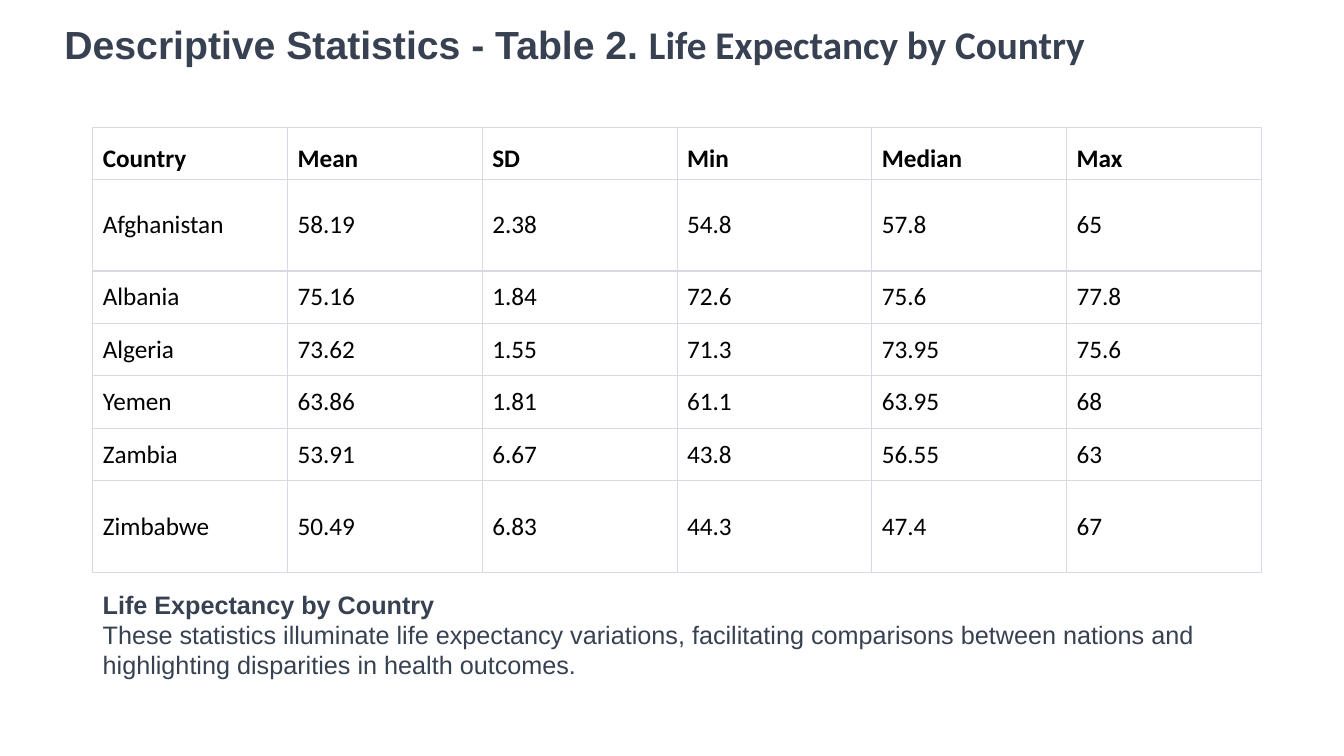
"""Build a slide with a table of life expectancy statistics by country."""
from dataclasses import dataclass

from lxml.etree import SubElement
from pptx import Presentation
from pptx.dml.color import RGBColor
from pptx.enum.text import MSO_ANCHOR as Anchor
from pptx.oxml.ns import qn
from pptx.util import Inches, Pt


@dataclass(frozen=True)
class Theme:
    heading: str = "374151"
    ink: str = "000000"
    border: str = "D9D9E3"
    title_size: int = 28
    body_size: int = 18
    sans: str = "Arial"
    table_font: str = "Calibri"
    thin: float = 0.75
    thick: float = 1


THEME = Theme()
TITLE = "Descriptive Statistics - Table 2. "
TOPIC = "Life Expectancy by Country"
SUMMARY = (
    "These statistics illuminate life expectancy variations, facilitating comparisons "
    "between nations and highlighting disparities in health outcomes."
)
STATISTICS = [
    ("Country", "Mean", "SD", "Min", "Median", "Max"),
    ("Afghanistan", "58.19", "2.38", "54.8", "57.8", "65"),
    ("Albania", "75.16", "1.84", "72.6", "75.6", "77.8"),
    ("Algeria", "73.62", "1.55", "71.3", "73.95", "75.6"),
    ("Yemen", "63.86", "1.81", "61.1", "63.95", "68"),
    ("Zambia", "53.91", "6.67", "43.8", "56.55", "63"),
    ("Zimbabwe", "50.49", "6.83", "44.3", "47.4", "67"),
]
ROW_HEIGHT, TALL_ROW_HEIGHT = 0.52, 0.91
TALL_ROWS = {"Afghanistan", "Zimbabwe"}


def add_span(para, text, font, size, color, bold):
    """Add one formatted run to a paragraph."""
    span = para.add_run()
    span.text = text
    for name, value in {"name": font, "size": Pt(size), "bold": bold}.items():
        setattr(span.font, name, value)
    span.font.color.rgb = RGBColor.from_string(color)


def add_text(page, area, anchor, paragraphs, size):
    """Add a wrapped text box; each paragraph lists text, font and bold per run."""
    frame = page.shapes.add_textbox(*map(Inches, area)).text_frame
    for name, value in {"word_wrap": True, "vertical_anchor": anchor}.items():
        setattr(frame, name, value)
    for index, spans in enumerate(paragraphs):
        para = frame.add_paragraph() if index else frame.paragraphs[0]
        for text, font, bold in spans:
            add_span(para, text, font, size, THEME.heading, bold)


def set_borders(cell, top, bottom):
    """Draw the four borders of a cell."""
    properties = cell._tc.get_or_add_tcPr()
    widths = {"L": THEME.thin, "R": THEME.thin, "T": top, "B": bottom}
    for side, width in widths.items():
        line = SubElement(properties, qn(f"a:ln{side}"), w=str(Pt(width)))
        fill = SubElement(line, qn("a:solidFill"))
        SubElement(fill, qn("a:srgbClr"), val=THEME.border)


def add_statistics(page, left, top, width):
    """Add the statistics table with a bold header row."""
    heights = [TALL_ROW_HEIGHT if row[0] in TALL_ROWS else ROW_HEIGHT for row in STATISTICS]
    last = len(STATISTICS) - 1
    area = map(Inches, (left, top, width, sum(heights)))
    table = page.shapes.add_table(len(STATISTICS), len(STATISTICS[0]), *area).table
    table.first_row = table.horz_banding = False
    for index, (values, height) in enumerate(zip(STATISTICS, heights)):
        table.rows[index].height = Inches(height)
        header = index == 0
        for cell, value in zip(table.rows[index].cells, values):
            set_borders(
                cell,
                top=THEME.thin if header else THEME.thick,
                bottom=THEME.thin if index == last else THEME.thick,
            )
            cell.fill.background()
            cell.vertical_anchor = Anchor.BOTTOM if header else Anchor.MIDDLE
            para = cell.text_frame.paragraphs[0]
            add_span(para, value, THEME.table_font, THEME.body_size, THEME.ink, header)


def main():
    """Build and save the deck."""
    deck = Presentation()
    deck.slide_width, deck.slide_height = Inches(13.33), Inches(7.5)
    page = deck.slides.add_slide(deck.slide_layouts[6])
    caption = [[(TOPIC, THEME.sans, True)], [(SUMMARY, THEME.sans, False)]]
    add_text(page, (0.92, 5.79, 11.16, 1.01), Anchor.MIDDLE, caption, THEME.body_size)
    add_statistics(page, 0.92, 1.26, 11.59)
    title = [[(TITLE, THEME.sans, True), (TOPIC, THEME.table_font, True)]]
    add_text(page, (0.54, 0.15, 10.97, 1.11), Anchor.TOP, title, THEME.title_size)
    deck.save("out.pptx")


if __name__ == "__main__":
    main()
